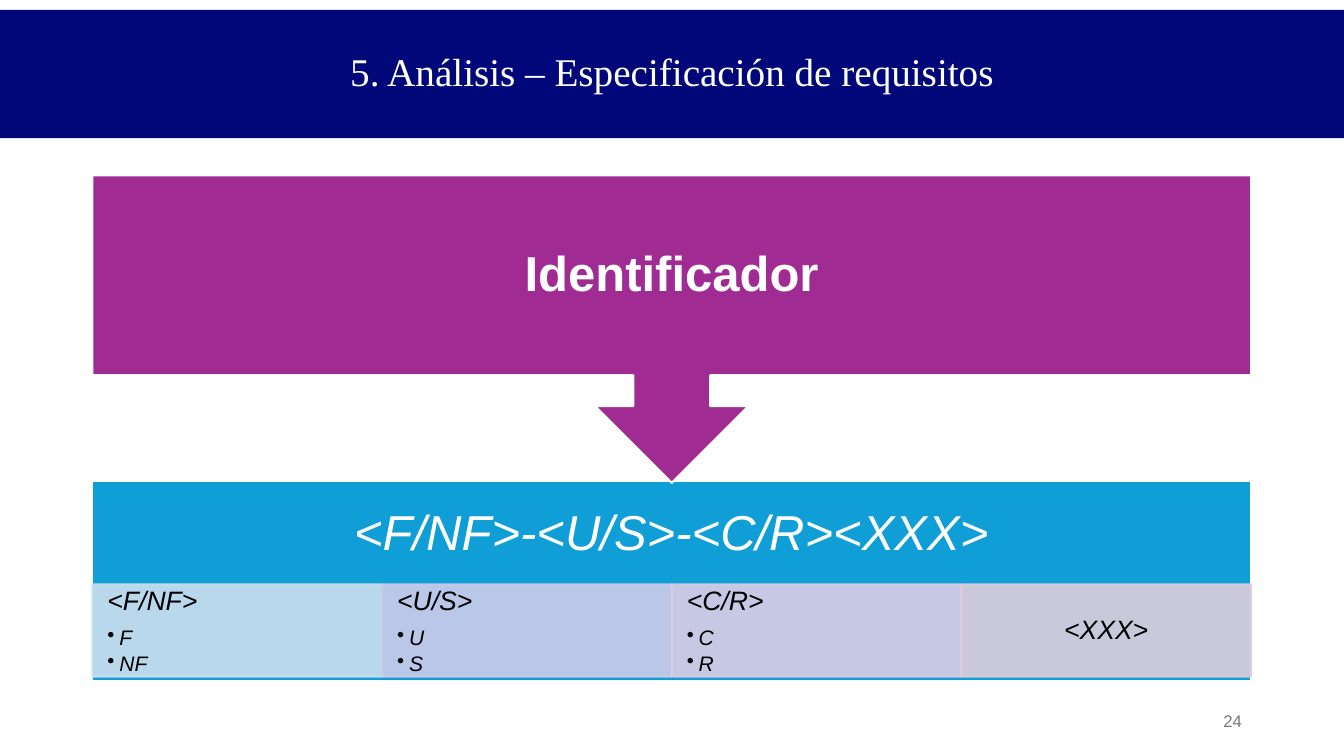
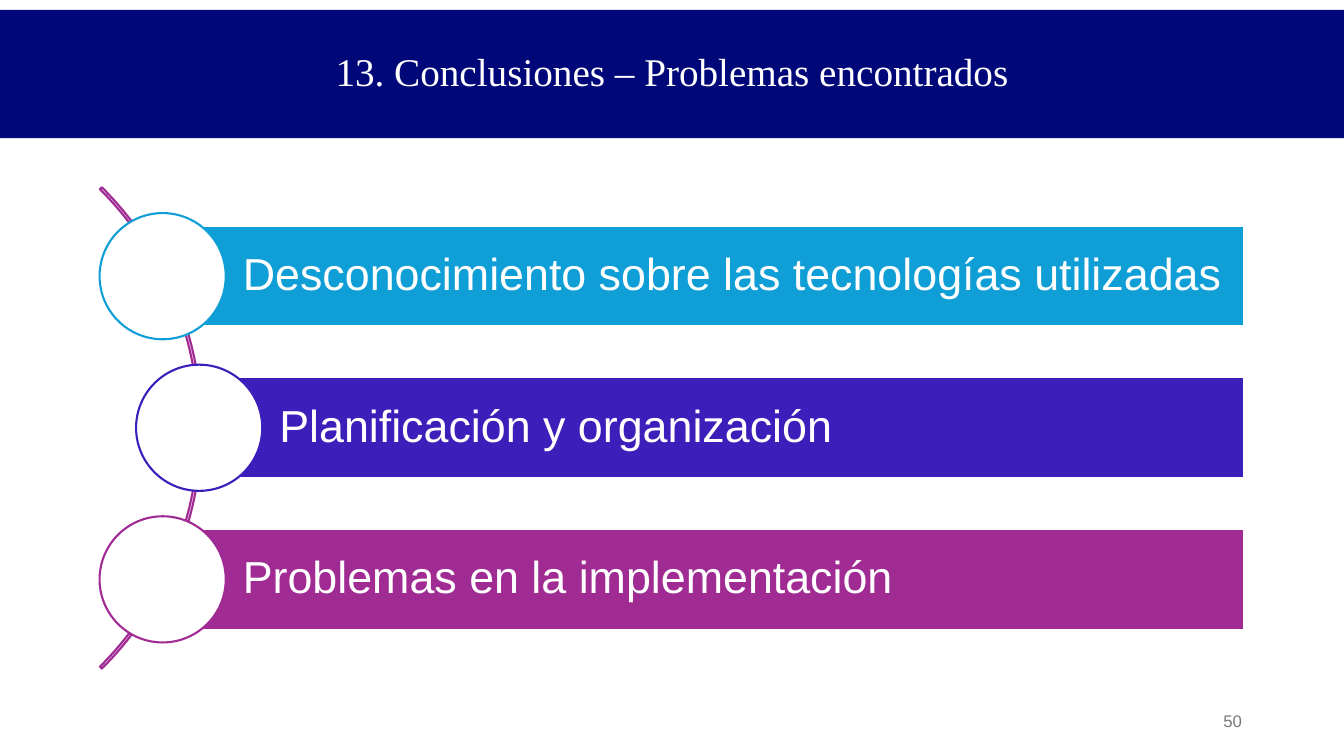
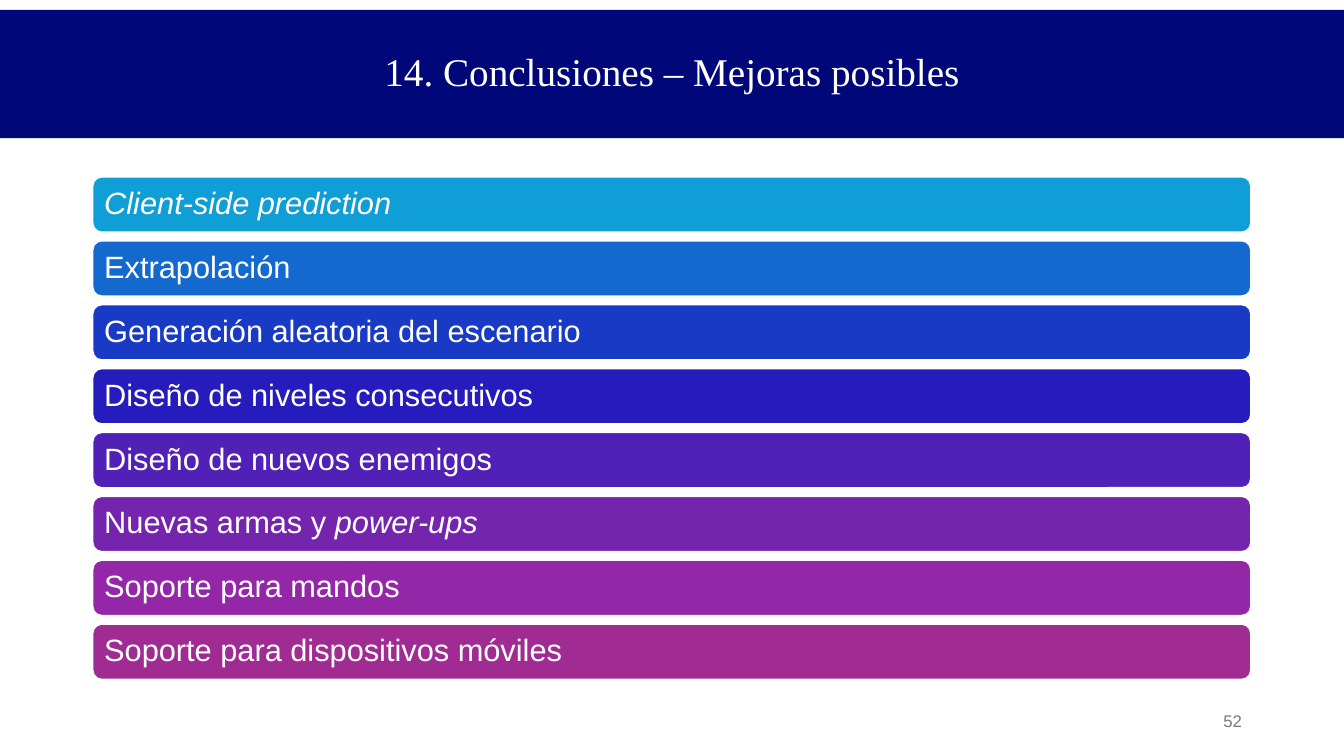
import pptx
import pptx.util
import pptx.dml.color
import pptx.enum.shapes
import pptx.enum.text
import pptx.oxml
import pptx.oxml.ns

Cm = pptx.util.Cm
Pt = pptx.util.Pt
RGB = pptx.dml.color.RGBColor
SHAPE = pptx.enum.shapes.MSO_SHAPE
ALIGN = pptx.enum.text.PP_ALIGN
ANCHOR = pptx.enum.text.MSO_ANCHOR
NS = pptx.oxml.ns.nsdecls("a")

WHITE = RGB(0xFF, 0xFF, 0xFF)
BLACK = RGB(0, 0, 0)
NAVY = RGB(0x00, 0x07, 0x79)
GREY = RGB(0x79, 0x79, 0x79)
SKY = RGB(0x0F, 0x9E, 0xD5)
INDIGO = RGB(0x3C, 0x1E, 0xBA)
PLUM = RGB(0xA0, 0x2B, 0x93)
TINTS = [RGB(0xCC, 0xDF, 0xEF), RGB(0xCD, 0xCC, 0xEB),
         RGB(0xDC, 0xCD, 0xE5), RGB(0xDF, 0xCD, 0xDC)]
SCALE = [SKY, RGB(0x13, 0x69, 0xCD), RGB(0x18, 0x3A, 0xC5),
         RGB(0x26, 0x1C, 0xBD), RGB(0x51, 0x20, 0xB6),
         RGB(0x75, 0x24, 0xAE), RGB(0x94, 0x27, 0xA7), PLUM]

WIDTH, HEIGHT = 33.87, 19.05
LEFT, BODY = 2.33, 29.2
SANS, SERIF = "Arial", "Times New Roman"


def add_run(para, text, size, color, font=SANS, bold=False, italic=False):
    run = para.add_run()
    run.text = text
    run.font.name = font
    run.font.size = Pt(size)
    run.font.color.rgb = color
    run.font.bold = bold
    run.font.italic = italic


def set_frame(frame, insets, anchor=ANCHOR.MIDDLE):
    """Wrap the text; insets are left, top, right, bottom in cm."""
    frame.word_wrap = True
    frame.auto_size = pptx.enum.text.MSO_AUTO_SIZE.NONE
    frame.vertical_anchor = anchor
    (frame.margin_left, frame.margin_top,
     frame.margin_right, frame.margin_bottom) = map(Cm, insets)


def set_para(para, align=ALIGN.LEFT, after=0):
    para.alignment = align
    para.line_spacing = 0.9
    para.space_after = Pt(after)
    return para


def add_bullet(para):
    para.level = 1
    props = para._p.get_or_add_pPr()
    props.set("marL", str(Cm(0.3)))
    props.set("indent", str(-Cm(0.3)))
    props.append(pptx.oxml.parse_xml(f'<a:buChar {NS} char="•"/>'))


def add_box(slide, kind, place, fill, line=WHITE):
    box = slide.shapes.add_shape(kind, *map(Cm, place))
    box.shadow.inherit = False
    if fill is None:
        box.fill.background()
    else:
        box.fill.solid()
        box.fill.fore_color.rgb = fill
    if line is None:
        box.line.fill.background()
    else:
        box.line.color.rgb = line
        box.line.width = Pt(1.5)
    return box


def fade(box):
    """Make fill and outline 90 % opaque."""
    for color in box.element.spPr.iter(pptx.oxml.ns.qn("a:srgbClr")):
        color.append(pptx.oxml.parse_xml(f'<a:alpha {NS} val="90000"/>'))


def add_slide(deck, title, number):
    slide = deck.slides.add_slide(deck.slide_layouts[5])
    band = add_box(slide, SHAPE.RECTANGLE, (0, 0.25, WIDTH, 3.23), NAVY, None)
    slide.shapes.element.insert(2, band.element)
    head = slide.shapes.title
    head.left, head.top, head.width, head.height = map(
        Cm, (5.82, 0.33, 22.23, 3.05))
    set_frame(head.text_frame, (0.25, 0.13, 0.25, 0.13))
    para = set_para(head.text_frame.paragraphs[0], ALIGN.CENTER)
    add_run(para, title, 28, WHITE, SERIF)
    foot = slide.shapes.add_textbox(*map(Cm, (23.93, 17.65, 7.62, 1.01)))
    set_frame(foot.text_frame, (0.25, 0.13, 0.25, 0.13))
    para = foot.text_frame.paragraphs[0]
    para.alignment = ALIGN.RIGHT
    add_run(para, str(number), 12, GREY)
    return slide


def add_tile(slide, left, tint, label, items):
    """A pale cell; its label is centred when it has no items."""
    tile = add_box(slide, SHAPE.RECTANGLE, (left, 14.73, BODY / 4, 2.32),
                   tint, tint)
    fade(tile)
    frame = tile.text_frame
    set_frame(frame, (0.38, 0.08, 0.38, 0.08),
              ANCHOR.TOP if items else ANCHOR.MIDDLE)
    para = set_para(frame.paragraphs[0],
                    ALIGN.LEFT if items else ALIGN.CENTER, 7.5)
    add_run(para, label, 19, BLACK, italic=True)
    for item in items:
        para = set_para(frame.add_paragraph(), after=2.7)
        add_bullet(para)
        add_run(para, item, 15, BLACK, italic=True)


def add_code(slide):
    base = add_box(slide, SHAPE.RECTANGLE, (LEFT, 12.12, BODY, 5.05), SKY)
    set_frame(base.text_frame, (0.69, 0.69, 0.69, 3.02))
    para = set_para(base.text_frame.paragraphs[0], ALIGN.CENTER)
    add_run(para, "<F/NF>-<U/S>-<C/R><XXX>", 35, WHITE, italic=True)
    parts = [("<F/NF>", ["F", "NF"]), ("<U/S>", ["U", "S"]),
             ("<C/R>", ["C", "R"]), ("<XXX>", [])]
    for i, (tint, (label, items)) in enumerate(zip(TINTS, parts)):
        add_tile(slide, LEFT + i * BODY / 4, tint, label, items)
    call = add_box(slide, SHAPE.DOWN_ARROW_CALLOUT,
                   (LEFT, 4.42, BODY, 7.75), PLUM)
    set_frame(call.text_frame, (0.69, 0.69, 0.69, 0.69))
    para = set_para(call.text_frame.paragraphs[0], ALIGN.CENTER)
    add_run(para, "Identificador", 35, WHITE, bold=True)


def add_issues(slide):
    arc = add_box(slide, SHAPE.BLOCK_ARC, (-12.07, 2.21, 17.15, 17.15),
                  None, PLUM)
    for i, value in enumerate((189, 27, 0.004)):
        arc.adjustments[i] = value
    rows = [("Desconocimiento sobre las tecnologías utilizadas", SKY, 4.1),
            ("Planificación y organización", INDIGO, 5.02),
            ("Problemas en la implementación", PLUM, 4.1)]
    tall, disc, right = 2.54, 3.18, 31.36
    for i, (text, color, left) in enumerate(rows):
        top = 5.69 + i * 3.82
        bar = add_box(slide, SHAPE.RECTANGLE,
                      (left, top, right - left, tall), color)
        set_frame(bar.text_frame, (2.02, 0.23, 0.23, 0.23))
        add_run(set_para(bar.text_frame.paragraphs[0]), text, 32, WHITE)
        add_box(slide, SHAPE.OVAL,
                (left - disc / 2, top + (tall - disc) / 2, disc, disc),
                WHITE, color)


def add_ideas(slide):
    """Rounded bars; each is a list of (text, italic) runs."""
    ideas = [[("Client-side prediction", True)],
             [("Extrapolación", False)],
             [("Generación aleatoria del escenario", False)],
             [("Diseño de niveles consecutivos", False)],
             [("Diseño de nuevos enemigos", False)],
             [("Nuevas armas y ", False), ("power-ups", True)],
             [("Soporte para mandos", False)],
             [("Soporte para dispositivos móviles", False)]]
    for i, (color, runs) in enumerate(zip(SCALE, ideas)):
        bar = add_box(slide, SHAPE.ROUNDED_RECTANGLE,
                      (LEFT, 4.45 + i * 1.61, BODY, 1.41), color)
        set_frame(bar.text_frame, (0.23, 0.23, 0.23, 0.23))
        para = set_para(bar.text_frame.paragraphs[0])
        for text, italic in runs:
            add_run(para, text, 22, WHITE, italic=italic)


def main():
    deck = pptx.Presentation()
    deck.slide_width, deck.slide_height = Cm(WIDTH), Cm(HEIGHT)
    add_code(add_slide(deck, "5. Análisis – Especificación de requisitos", 24))
    add_issues(add_slide(deck, "13. Conclusiones – Problemas encontrados", 50))
    add_ideas(add_slide(deck, "14. Conclusiones – Mejoras posibles", 52))
    deck.save("out.pptx")


if __name__ == "__main__":
    main()
